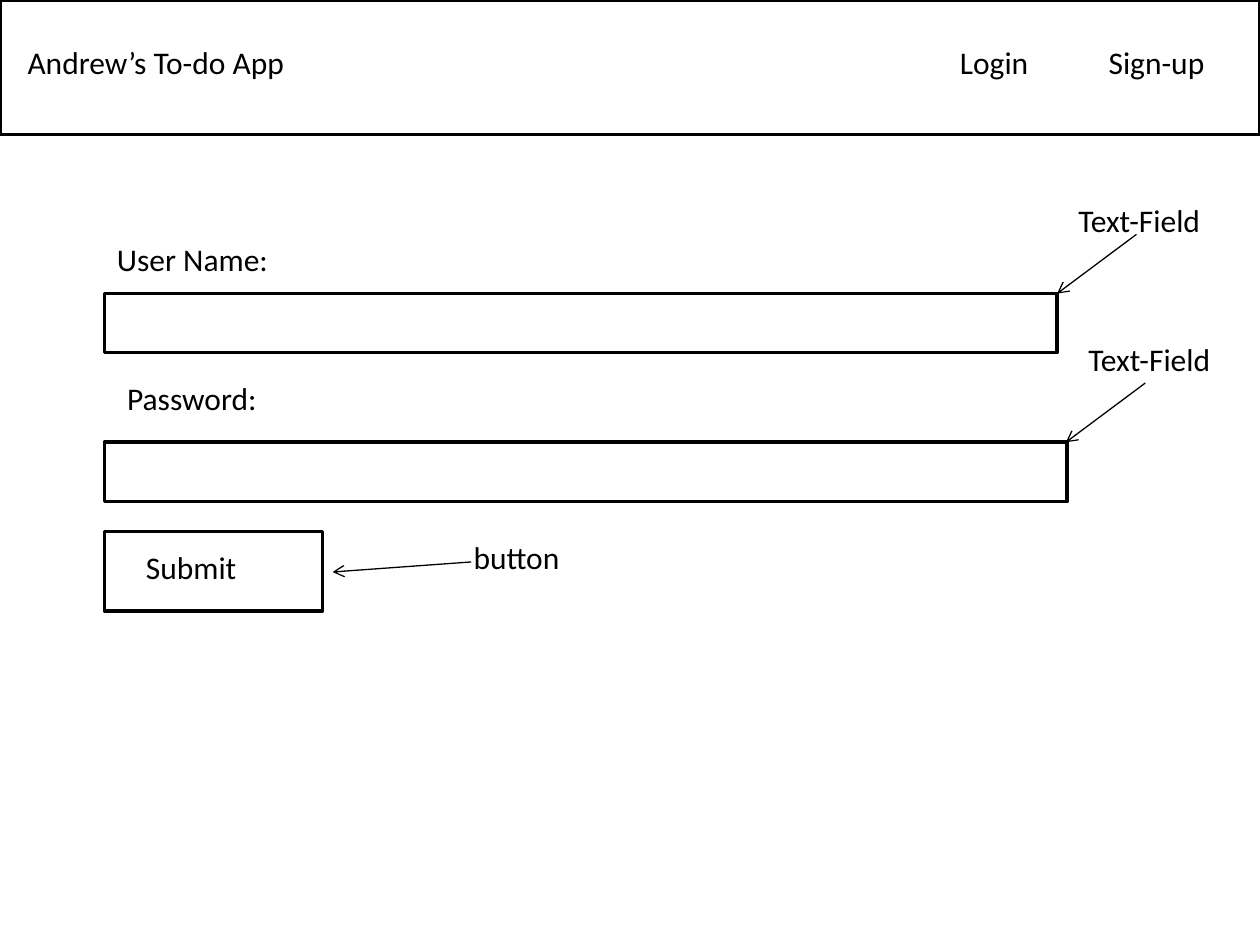
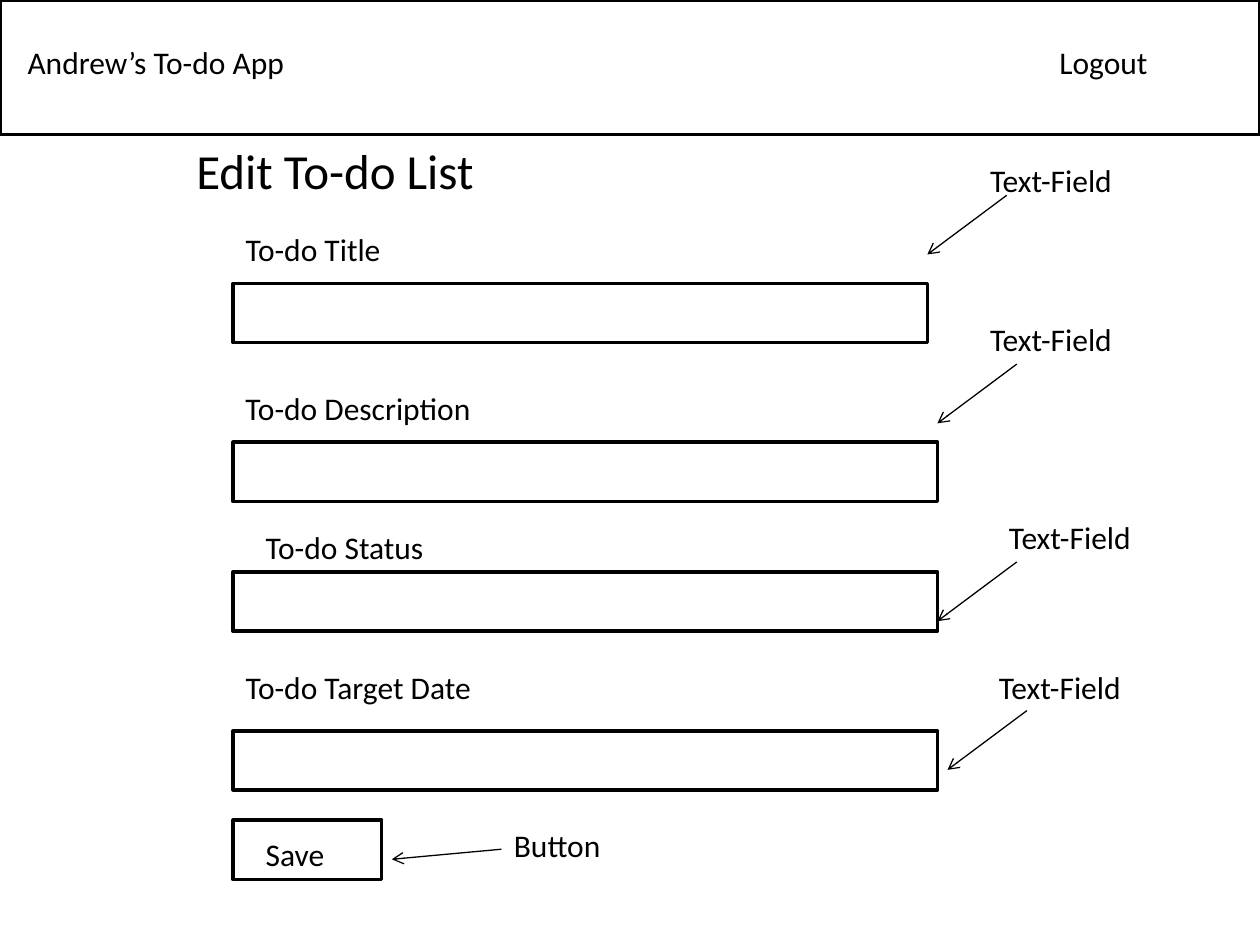
"""Build two wireframes of a to-do app: the login page and the edit page."""
from lxml.etree import SubElement
from pptx import Presentation
from pptx.dml.color import RGBColor
from pptx.enum.shapes import MSO_CONNECTOR, MSO_SHAPE
from pptx.enum.text import MSO_AUTO_SIZE
from pptx.oxml.ns import qn
from pptx.util import Inches, Pt

INK = RGBColor.from_string("000000")
PAPER = RGBColor.from_string("FFFFFF")
FONT = "Calibri"
BAR_HEIGHT = 1.07
MENU_TOP = 0.29
FIELD_HEIGHT = 0.47
NOTE_WIDTH = 1.34
POINTER_RUN, POINTER_DROP = 0.63, 0.47


def add_outline(slide, left, top, width, height):
    outline = slide.shapes.add_shape(
        MSO_SHAPE.RECTANGLE, Inches(left), Inches(top), Inches(width), Inches(height))
    outline.shadow.inherit = False
    outline.fill.solid()
    outline.fill.fore_color.rgb = PAPER
    outline.line.color.rgb = INK
    outline.line.width = Pt(2)


def add_label(slide, text, left, top, width, size=18):
    height = 0.4 if size == 18 else 0.57
    label = slide.shapes.add_textbox(Inches(left), Inches(top), Inches(width), Inches(height))
    frame = label.text_frame
    frame.word_wrap = True
    frame.auto_size = MSO_AUTO_SIZE.SHAPE_TO_FIT_TEXT
    frame.text = text
    font = frame.paragraphs[0].runs[0].font
    font.name = FONT
    font.size = Pt(size)
    font.color.rgb = INK


screens = [
    {
        "menu": [("Login", 7.52, 0.79), ("Sign-up", 8.7, 1.02)],
        "headings": [],
        "form_left": 0.83,
        "fields": [
            ("User Name:", 0.83, 1.86, 1.81, 2.33, 7.56),
            ("Password:", 0.91, 2.96, 1.42, 3.51, 7.64),
        ],
        "field_notes": [(8.46, 1.55, 8.39, 2.33), (8.54, 2.65, 8.46, 3.51)],
        "button": (4.22, 1.73, 0.63),
        "button_label": ("Submit", 1.06, 4.3, 1.26),
        "button_note": ("button", 3.66, 4.22, 1.18),
        "button_pointer": (3.74, 4.46, 2.64, 4.54),
    },
    {
        "menu": [("Logout", 8.31, 0.94)],
        "headings": [("Edit To-do List", 1.46, BAR_HEIGHT, 3.7, 28)],
        "form_left": 1.85,
        "fields": [
            ("To-do Title", 1.85, 1.78, 1.65, 2.25, 5.51),
            ("To-do Description", 1.85, 3.04, 2.83, 3.51, 5.59),
            ("To-do Status", 2.01, 4.14, 2.13, 4.54, 5.59),
            ("To-do Target Date", 1.85, 5.25, 2.52, 5.8, 5.59),
        ],
        "field_notes": [
            (7.76, 1.23, 7.36, 2.02),
            (7.76, 2.49, 7.44, 3.36),
            (7.91, 4.06, 7.44, 4.93),
            (7.83, 5.25, 7.52, 6.11),
        ],
        "button": (6.51, 1.18, FIELD_HEIGHT),
        "button_label": ("Save", 2.01, 6.58, 0.79),
        "button_note": ("Button", 3.98, 6.51, 1.18),
        "button_pointer": (3.98, 6.74, 3.11, 6.82),
    },
]

deck = Presentation()
deck.slide_width = Inches(10)
deck.slide_height = Inches(7.5)

for screen in screens:
    slide = deck.slides.add_slide(deck.slide_layouts[6])

    add_outline(slide, 0, 0, 10, BAR_HEIGHT)
    add_label(slide, "Andrew’s To-do App", 0.12, MENU_TOP, 2.68)
    for entry, left, width in screen["menu"]:
        add_label(slide, entry, left, MENU_TOP, width)
    for heading in screen["headings"]:
        add_label(slide, *heading)

    for caption, left, top, width, field_top, field_width in screen["fields"]:
        add_outline(slide, screen["form_left"], field_top, field_width, FIELD_HEIGHT)
        add_label(slide, caption, left, top, width)

    add_outline(slide, screen["form_left"], *screen["button"])
    add_label(slide, *screen["button_label"])
    add_label(slide, *screen["button_note"])

    pointers = [screen["button_pointer"]]
    for left, top, tip_x, tip_y in screen["field_notes"]:
        add_label(slide, "Text-Field", left, top, NOTE_WIDTH)
        pointers.append((tip_x + POINTER_RUN, tip_y - POINTER_DROP, tip_x, tip_y))

    for ends in pointers:
        pointer = slide.shapes.add_connector(
            MSO_CONNECTOR.STRAIGHT, *[Inches(length) for length in ends])
        pointer.line.color.rgb = INK
        pointer.line.width = Pt(0.75)
        SubElement(pointer.line._get_or_add_ln(), qn("a:tailEnd"), type="arrow")
        SubElement(pointer._element.spPr, qn("a:effectLst"))

deck.save("out.pptx")
